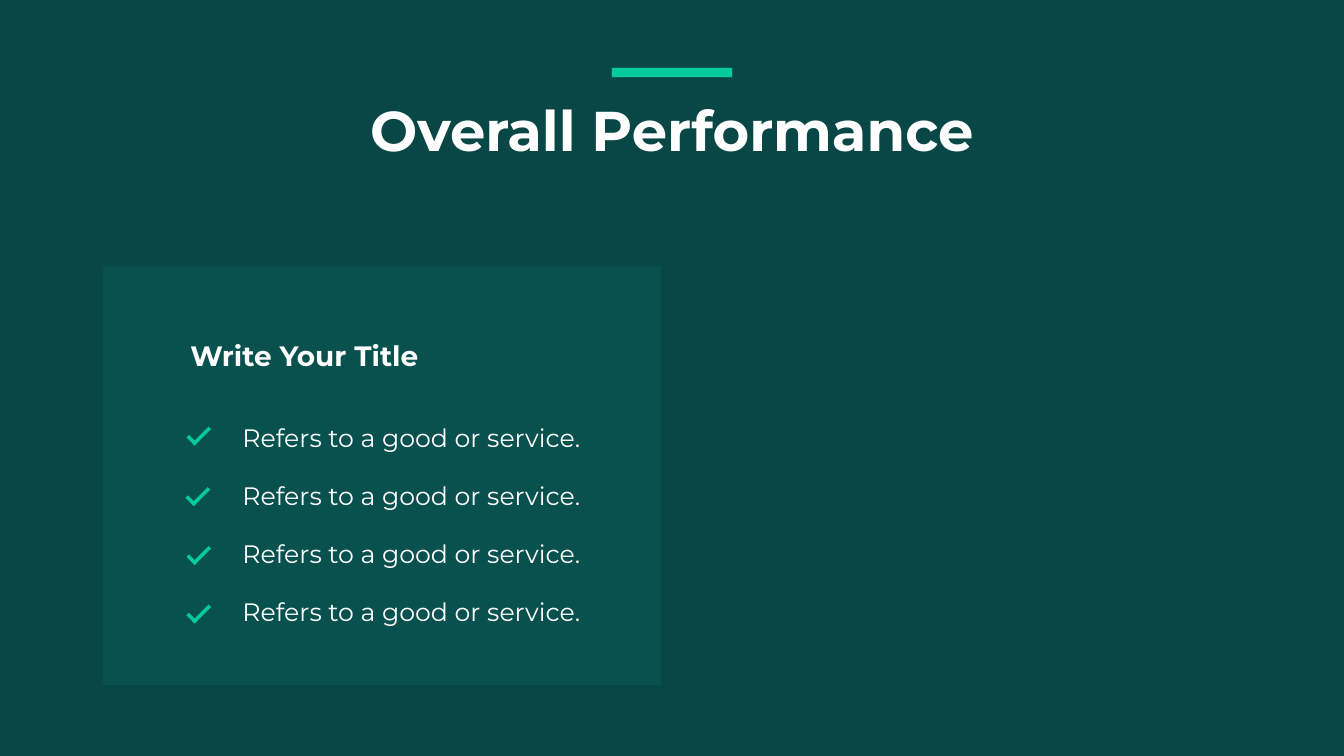
from lxml import etree
from pptx import Presentation
from pptx import util as u
from pptx.dml import color
from pptx.enum import shapes, text
from pptx.oxml import ns

deck = Presentation()
deck.slide_width, deck.slide_height = u.Inches(26.66), u.Inches(15)
wide, high = deck.slide_width / 100, deck.slide_height / 100
slide = deck.slides.add_slide(deck.slide_layouts[1])
tree = slide.shapes
DARK, MINT, WHITE = "084745", "03CB99", "FFFFFF"
tone = color.RGBColor.from_string


def rect(home, x, y, w, h, fill, alpha=100, line=None):
    """Add a rectangle; lengths are percent of the slide's size."""
    box = home.add_shape(shapes.MSO_SHAPE.RECTANGLE, int(x * wide),
                         int(y * high), int(w * wide), int(h * high))
    box.shadow.inherit = False
    box.fill.solid()
    box.fill.fore_color.rgb = tone(fill)
    if alpha < 100:
        tint = box._element.spPr.find(".//" + ns.qn("a:srgbClr"))
        etree.SubElement(tint, ns.qn("a:alpha"), val=str(alpha * 1000))
    if line:
        box.line.color.rgb = tone(line)
        box.line.width = u.Pt(1)
    else:
        box.line.fill.background()
    return box


def write(box, x, y, w, h, lines, size, bold=False, align="LEFT", gap=0):
    """Place a text shape, in percent of the slide, and fill its lines."""
    box.left, box.top = int(x * wide), int(y * high)
    box.width, box.height = int(w * wide), int(h * high)
    frame = box.text_frame
    frame.word_wrap = True
    frame.auto_size = text.MSO_AUTO_SIZE.NONE
    frame.vertical_anchor = text.MSO_ANCHOR.TOP
    for i, words in enumerate(lines):
        para = frame.add_paragraph() if i else frame.paragraphs[0]
        props = para._p.get_or_add_pPr()
        props.set("marL", "0")
        props.set("indent", "0")
        etree.SubElement(props, ns.qn("a:buNone"))
        para.alignment = text.PP_ALIGN[align]
        para.space_before = u.Pt(gap if i else 0)
        run = para.add_run()
        run.text = words
        font = run.font
        font.name, font.size, font.bold = "Montserrat", u.Pt(size), bold
        font.color.rgb = tone(WHITE)
    return frame


# Backdrop and panel, kept behind the placeholders
back = [rect(tree, 0, 0, 100, 100, DARK),
        rect(tree, 0, 0, 100, 100, DARK, 80),
        rect(tree, 7.65, 35.25, 41.52, 55.35, "097A76", 20)]
for i, box in enumerate(back):
    tree._spTree.insert(2 + i, box._element)

# Title with its bar
write(tree.title, 16.86, 12.27, 66.28, 9.67, ["Overall Performance"],
      80, True, "CENTER")
rect(tree, 45.5, 8.93, 9, 1.33, MINT, line="075A57")

# List: line height plus gap makes a row of 1.15 inches
items = ["Refers to a good or service."] * 4
frame = write(tree.placeholders[1], 17.14, 55.03, 28, 28.67, items, 36, gap=39.6)
frame.margin_left = frame.margin_right = u.Inches(0.24)
frame.margin_top = frame.margin_bottom = u.Inches(0.12)

# Check marks: a short and a long stroke each
for x, y in [(13.84, 58), (13.77, 66), (13.84, 73.8), (13.84, 81.53)]:
    mark = tree.add_group_shape().shapes
    rect(mark, x, y, 0.86, 0.47, MINT).rotation = 45
    rect(mark, x + 0.3, y - 0.55, 1.73, 0.47, MINT).rotation = 315

# Panel heading
write(tree.add_textbox(0, 0, 0, 0), 13.8, 44.47, 21.27, 5.13,
      ["Write Your Title"], 40, True)

deck.save("out.pptx")
